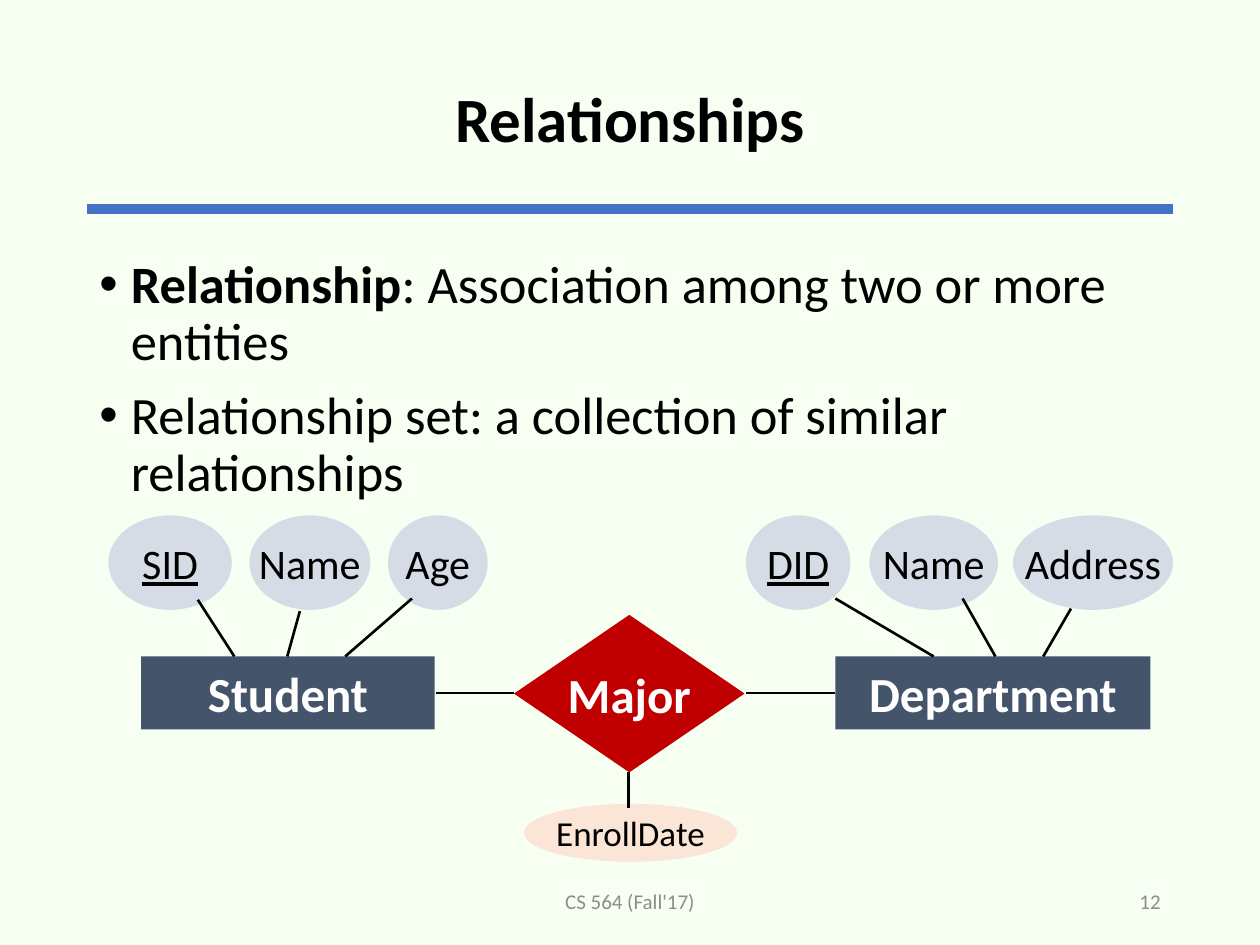
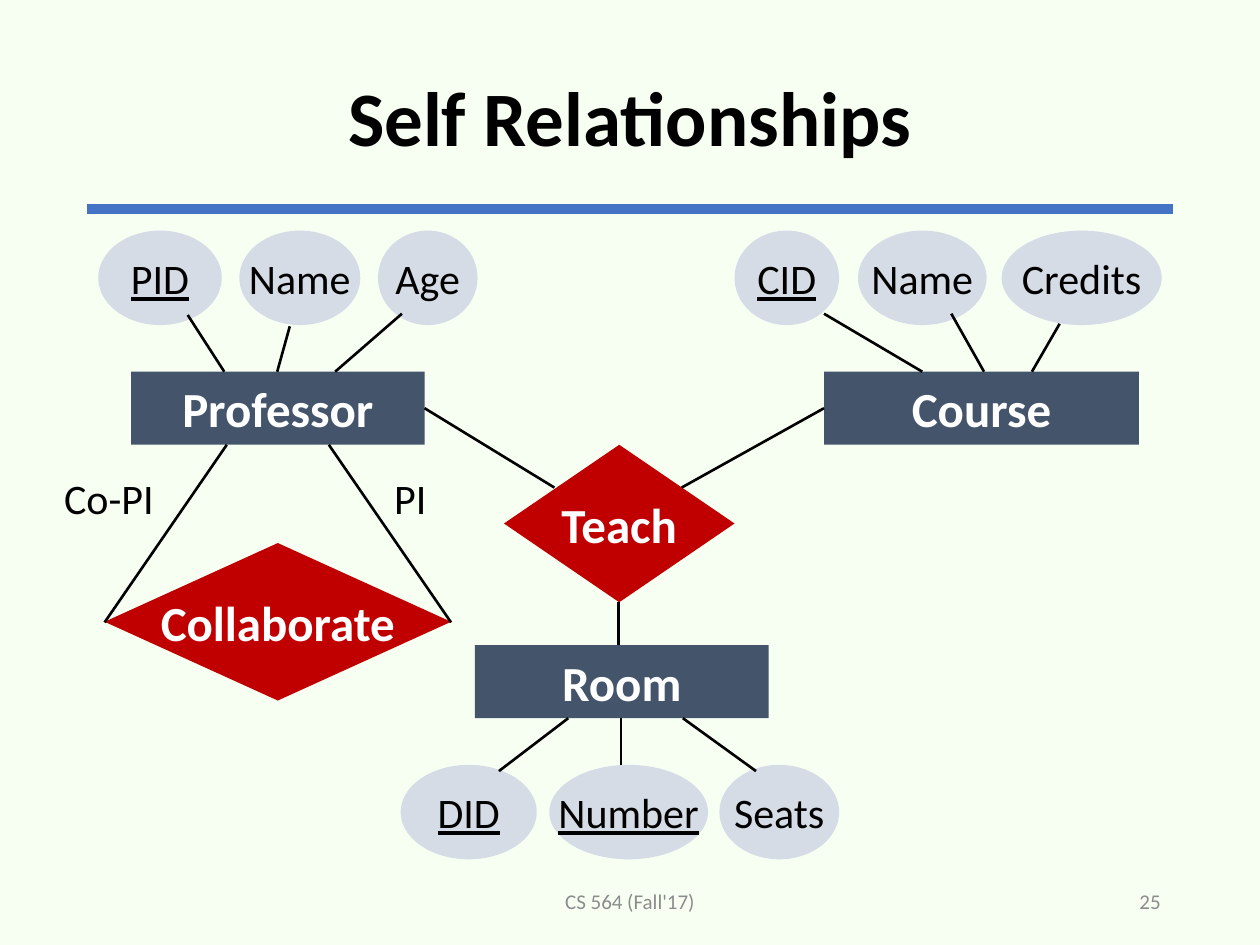
from lxml import etree
from pptx import Presentation
from pptx.dml.color import RGBColor
from pptx.enum import shapes, text
from pptx.oxml.ns import qn
from pptx.util import Inches, Pt

COLORS = {
    "background": "F7FFF3", "rule": "4472C4", "ink": "000000", "footer": "8C8C8C",
    "entity": "44546A", "attribute": "D6DCE5", "relationship": "C00000",
    "detail": "FBE5D6", "reverse": "FFFFFF",
}
FONT = "Calibri"
FOOTER = "CS 564 (Fall'17)"
MARGIN, CONTENT_WIDTH = 0.69, 8.62
ENTITY_HEIGHT, ATTRIBUTE_HEIGHT = 0.58, 0.75
ENTITY_WIDTH, WIDE_ENTITY_WIDTH = 2.33, 2.5

# Attribute places relative to the entity's top left corner:
# (left, width, link start x, link end x, link end y)
LEFT_FAN = [(-0.26, 0.98, 0.74, 0.45, -0.45),
            (0.86, 0.96, 1.16, 1.26, -0.36),
            (1.96, 0.79, 1.62, 2.15, -0.46)]
RIGHT_FAN = [(-0.71, 0.83, 0.78, 0, -0.46),
             (0.27, 1.02, 1.27, 1.01, -0.46),
             (1.41, 1.27, 1.65, 1.87, -0.38)]
LOWER_FAN = [(-0.59, 1.08, 0.74, 0.19, 1),
             (0.59, 1.26, 1.16, 1.16, 0.95),
             (1.94, 0.95, 1.65, 2.23, 1)]
ABOVE, BELOW = -1.12, 0.95


def rgb(name):
    return RGBColor.from_string(COLORS[name])


def style(paragraph, size, color="ink", bold=False, underline=False):
    font = paragraph.font
    font.name, font.size, font.bold = FONT, Pt(size), bold
    font.underline = underline
    font.color.rgb = rgb(color)


def add_label(slide, box, words, size, color="ink", bold=False,
              align=text.PP_ALIGN.CENTER, anchor=text.MSO_ANCHOR.MIDDLE, wrap=True):
    frame = slide.shapes.add_textbox(*map(Inches, box)).text_frame
    frame.word_wrap, frame.vertical_anchor = wrap, anchor
    paragraph = frame.paragraphs[0]
    paragraph.text, paragraph.alignment = words, align
    style(paragraph, size, color, bold)
    return paragraph


def add_link(slide, start, end, color="ink", width=1.5):
    link = slide.shapes.add_connector(
        shapes.MSO_CONNECTOR.STRAIGHT, *map(Inches, (*start, *end)))
    link.line.color.rgb, link.line.width = rgb(color), Pt(width)
    etree.SubElement(link._element.spPr, qn("a:effectLst"))


def add_node(slide, kind, box, words, fill, size, color="ink", bold=False, underline=False):
    node = slide.shapes.add_shape(kind, *map(Inches, box))
    node.shadow.inherit = False
    node.fill.solid()
    node.fill.fore_color.rgb = rgb(fill)
    node.line.fill.background()
    frame = node.text_frame
    frame.word_wrap, frame.vertical_anchor = False, text.MSO_ANCHOR.MIDDLE
    paragraph = frame.paragraphs[0]
    paragraph.text, paragraph.alignment = words, text.PP_ALIGN.CENTER
    style(paragraph, size, color, bold, underline)


def add_attribute(slide, box, words, fill="attribute", size=24, is_key=False):
    add_node(slide, shapes.MSO_SHAPE.OVAL, box, words, fill, size, underline=is_key)


def add_relationship(slide, left, top, words, width=1.83):
    add_node(slide, shapes.MSO_SHAPE.DIAMOND, (left, top, width, 1.25), words,
             "relationship", 28, "reverse", True)


def add_entity(slide, left, top, words, attributes, fan, keys=1,
               width=ENTITY_WIDTH, row=ABOVE):
    """Draw an entity with its attributes; the first `keys` of them are underlined."""
    add_node(slide, shapes.MSO_SHAPE.RECTANGLE, (left, top, width, ENTITY_HEIGHT),
             words, "entity", 28, "reverse", True)
    edge = top if row < 0 else top + ENTITY_HEIGHT
    for index, (attribute, place) in enumerate(zip(attributes, fan)):
        dx, oval_width, start_x, end_x, end_y = place
        add_attribute(slide, (left + dx, top + row, oval_width, ATTRIBUTE_HEIGHT),
                      attribute, is_key=index < keys)
        add_link(slide, (left + start_x, edge), (left + end_x, top + end_y))


def add_bullets(slide, box, items):
    """Each item is a bold lead (may be empty) and the words after it."""
    frame = slide.shapes.add_textbox(*map(Inches, box)).text_frame
    frame.word_wrap = True
    for index, (lead, rest) in enumerate(items):
        paragraph = frame.paragraphs[0] if index == 0 else frame.add_paragraph()
        properties = paragraph._p.get_or_add_pPr()
        properties.set("marL", str(Inches(0.25)))
        properties.set("indent", str(-Inches(0.25)))
        paragraph.line_spacing = 0.9
        if index:
            paragraph.space_before = Pt(10)
        etree.SubElement(properties, qn("a:buFont"), typeface="Arial")
        etree.SubElement(properties, qn("a:buChar"), char="•")
        style(paragraph, 30)
        if lead:
            lead_run = paragraph.add_run()
            lead_run.text, lead_run.font.bold = lead, True
        paragraph.add_run().text = rest


def add_slide(deck, title, title_size, number):
    slide = deck.slides.add_slide(deck.slide_layouts[6])
    slide.background.fill.solid()
    slide.background.fill.fore_color.rgb = rgb("background")
    add_link(slide, (MARGIN, 1.66), (MARGIN + CONTENT_WIDTH, 1.66), "rule", 6)
    heading = add_label(slide, (MARGIN, 0.24, CONTENT_WIDTH, 1.45), title,
                        title_size, bold=True)
    heading.line_spacing = 0.9
    add_label(slide, (3.31, 6.95, 3.38, 0.4), FOOTER, 12, "footer")
    add_label(slide, (7.06, 6.95, 2.25, 0.4), str(number), 12, "footer",
              align=text.PP_ALIGN.RIGHT)
    return slide


def add_relationships_slide(deck):
    slide = add_slide(deck, "Relationships", 36, 12)
    add_bullets(slide, (MARGIN, 2, CONTENT_WIDTH, 2.05), [
        ("Relationship", ": Association among two or more entities"),
        ("", "Relationship set: a collection of similar relationships"),
    ])
    add_entity(slide, 1.12, 5.21, "Student", ["SID", "Name", "Age"], LEFT_FAN)
    add_entity(slide, 6.63, 5.21, "Department", ["DID", "Name", "Address"], RIGHT_FAN,
               width=WIDE_ENTITY_WIDTH)
    add_relationship(slide, 4.08, 4.88, "Major")
    add_attribute(slide, (4.16, 6.38, 1.69, 0.46), "EnrollDate", "detail", 20)
    add_link(slide, (3.46, 5.5), (4.08, 5.5))
    add_link(slide, (5.92, 5.5), (6.63, 5.5))
    add_link(slide, (4.99, 6.13), (4.99, 6.41))


def add_self_relationships_slide(deck):
    slide = add_slide(deck, "Self Relationships", 44, 25)
    add_entity(slide, 1.04, 2.95, "Professor", ["PID", "Name", "Age"], LEFT_FAN)
    add_entity(slide, 6.54, 2.95, "Course", ["CID", "Name", "Credits"], RIGHT_FAN,
               width=WIDE_ENTITY_WIDTH)
    add_entity(slide, 3.77, 5.12, "Room", ["DID", "Number", "Seats"], LOWER_FAN,
               keys=2, row=BELOW)
    add_relationship(slide, 4, 3.53, "Teach")
    add_link(slide, (3.37, 3.24), (4.4, 3.87))
    add_link(slide, (6.54, 3.24), (5.41, 3.87))
    add_link(slide, (4.91, 4.78), (4.91, 5.12))
    add_relationship(slide, 0.83, 4.31, "Collaborate", 2.75)
    add_link(slide, (1.8, 3.53), (0.83, 4.94))
    add_link(slide, (2.61, 3.53), (3.58, 4.94))
    for role, left, width in [("PI", 3.03, 0.48), ("Co-PI", 0.41, 0.98)]:
        add_label(slide, (left, 3.7, width, 0.5), role, 24, align=text.PP_ALIGN.LEFT,
                  anchor=text.MSO_ANCHOR.TOP, wrap=False)


def main():
    deck = Presentation()
    deck.slide_width, deck.slide_height = Inches(10), Inches(7.5)
    add_relationships_slide(deck)
    add_self_relationships_slide(deck)
    deck.save("out.pptx")


if __name__ == "__main__":
    main()
